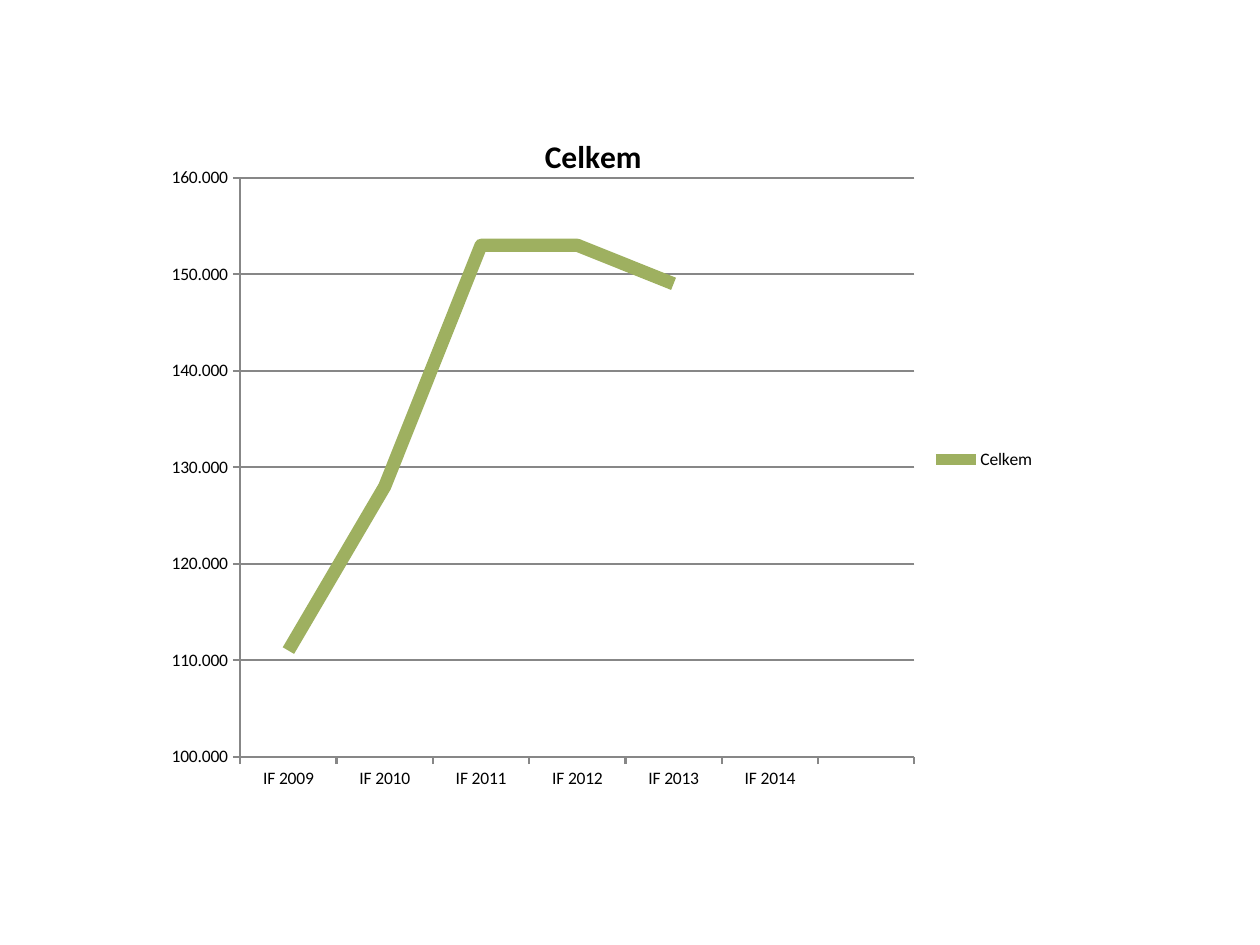
from lxml.etree import SubElement as Sub
from pptx import Presentation
from pptx.chart.data import CategoryChartData as Data
from pptx.dml.color import RGBColor
from pptx.enum.chart import XL_CHART_TYPE as Kind, XL_LEGEND_POSITION as Side
from pptx.enum.chart import XL_TICK_MARK as Tick
from pptx.oxml.ns import qn
from pptx.util import Cm, Pt

GREEN = RGBColor(0x9E, 0xB0, 0x60)
GRAY = RGBColor(0x87, 0x87, 0x87)
BLACK = RGBColor(0, 0, 0)

deck = Presentation()
deck.slide_width, deck.slide_height = Cm(25.4), Cm(19.05)
slide = deck.slides.add_slide(deck.slide_layouts[6])

data = Data(number_format="0.000")
data.categories = [f"IF {year}" for year in range(2009, 2015)] + [""]
data.add_series("Celkem", [111, 128, 153, 153, 149, None, None])
frame = slide.shapes.add_chart(
    Kind.LINE, Cm(2.79), Cm(2.18), Cm(18.34), Cm(14.17), data)
chart = frame.chart
chart.font.name = "Calibri"
chart.font.size = Pt(10)
chart.font.color.rgb = BLACK

chart.has_title = True
title = chart.chart_title
title.text_frame.text = "Celkem"
font = title.text_frame.paragraphs[0].runs[0].font
font.name, font.size, font.bold = "Calibri", Pt(18), True
font.color.rgb = BLACK
title.include_in_layout = False

chart.has_legend = True
chart.legend.position = Side.RIGHT
chart.legend.include_in_layout = False

line = chart.plots[0].series[0]
line.smooth = False
line.format.line.color.rgb = GREEN
line.format.line.width = Pt(7.5)
chart.plots[0].vary_by_categories = False

cats, vals = chart.category_axis, chart.value_axis
vals.minimum_scale, vals.maximum_scale, vals.major_unit = 100, 160, 10
vals.has_major_gridlines = True
vals.tick_labels.number_format = "0.000"
vals.tick_labels.number_format_is_linked = False
for axis in (cats, vals):
    axis.major_tick_mark = Tick.OUTSIDE
    axis.minor_tick_mark = Tick.NONE
for part in (cats, vals, vals.major_gridlines):
    part.format.line.color.rgb = GRAY
    part.format.line.width = Pt(1.3)

area = chart.plots[0]._element.getparent()
for old in area.findall(qn("c:layout")):
    area.remove(old)
layout = Sub(area, qn("c:layout"))
area.insert(0, layout)
manual = Sub(layout, qn("c:manualLayout"))
for tag, val in [("layoutTarget", "inner"), ("xMode", "edge"), ("yMode", "edge")]:
    Sub(manual, qn(f"c:{tag}")).set("val", val)
for tag, percent in [("x", 11.2), ("y", 9.9), ("w", 74.1), ("h", 82.4)]:
    Sub(manual, qn(f"c:{tag}")).set("val", str(percent / 100))

deck.save("out.pptx")
